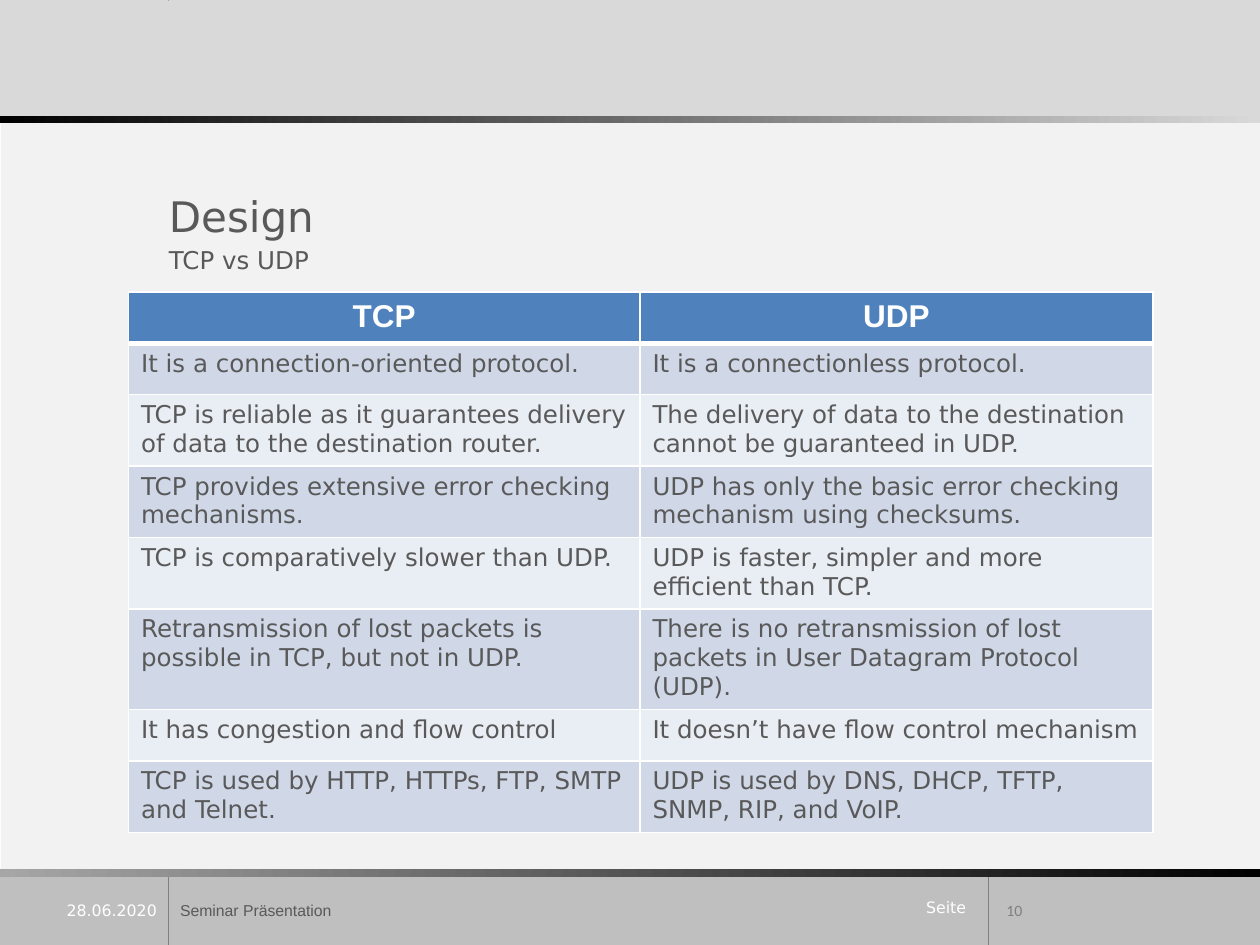
from lxml import etree
from pptx import Presentation
from pptx.dml.color import RGBColor
from pptx.enum import shapes, text
from pptx.oxml import ns
from pptx.util import Cm, Pt

THEME = {
    "white": "FFFFFF", "black": "000000", "ink": "595959", "number": "7F7F7F",
    "header": "D9D9D9", "body": "F2F2F2", "footer": "BFBFBF",
    "rule": "808080", "rule_mid": "A6A6A6",
    "table_head": "4F81BD", "bands": ("D0D8E8", "E9EDF4"),
    "font": "DejaVu Sans", "font_alt": "Arial", "font_number": "Calibri",
    "title": 24, "text": 14, "head": 18, "small": 9,
}

HEADING, SUBHEADING = "Design", "TCP vs UDP"
COMPARISON = [
    ("TCP", "UDP"),
    ("It is a connection-oriented protocol.", "It is a connectionless protocol."),
    ("TCP is reliable as it guarantees delivery of data to the destination router.",
     "The delivery of data to the destination cannot be guaranteed in UDP."),
    ("TCP provides extensive error checking mechanisms.",
     "UDP has only the basic error checking mechanism using checksums."),
    ("TCP is comparatively slower than UDP.",
     "UDP is faster, simpler and more efficient than TCP."),
    ("Retransmission of lost packets is possible in TCP, but not in UDP.",
     "There is no retransmission of lost packets in User Datagram Protocol (UDP)."),
    ("It has congestion and flow control", "It doesn’t have flow control mechanism"),
    ("TCP is used by HTTP, HTTPs, FTP, SMTP and Telnet.",
     "UDP is used by DNS, DHCP, TFTP, SNMP, RIP, and VoIP."),
]

# Lengths in cm
WIDTH, HEIGHT = 25.4, 19.05
HEADER_BOTTOM, FOOTER_TOP = 2.34, 17.6
BAR_HEIGHT = 0.16
LEFT_RULE, RIGHT_RULE = 3.4, 19.93

PANELS = [  # left, top, width, height, fill
    (0, 0, WIDTH, HEADER_BOTTOM, "header"),
    (0.02, HEADER_BOTTOM, WIDTH, FOOTER_TOP - HEADER_BOTTOM, "body"),
    (0, FOOTER_TOP, WIDTH, HEIGHT - FOOTER_TOP, "footer"),
]
BARS = [  # top, colour at left, colour at right
    (HEADER_BOTTOM - 0.01, "black", "header"),
    (FOOTER_TOP - 0.08, "rule_mid", "black"),
]
RULES = [  # x, top, bottom, colour
    (LEFT_RULE, 0, HEADER_BOTTOM, "rule_mid"),
    (LEFT_RULE, FOOTER_TOP, HEIGHT, "rule"),
    (RIGHT_RULE, FOOTER_TOP, HEIGHT, "rule"),
    (LEFT_RULE, 0.03, HEADER_BOTTOM, "header"),
]
MIDDLE, TOP = text.MSO_ANCHOR.MIDDLE, text.MSO_ANCHOR.TOP
LEFT, CENTER, RIGHT = text.PP_ALIGN.LEFT, text.PP_ALIGN.CENTER, text.PP_ALIGN.RIGHT
FOOTER_TEXTS = [  # text, box, anchor, format
    ("Seite", (18.42, 17.98, 1.45, 0.64), TOP, {"color": "white"}),
    ("Seminar Präsentation", (3.38, 17.83, 15.04, 1.02), MIDDLE, {"font": "font_alt"}),
    ("10", (20.04, 17.83, 4.09, 1.02), MIDDLE,
     {"font": "font_number", "color": "number"}),
    ("28.06.2020", (0.84, 17.86, 2.57, 0.99), MIDDLE,
     {"color": "white", "align": RIGHT}),
]
TITLE_BOX = (3.15, 3.71, 20.12, 12.5)
TABLE_LEFT, TABLE_TOP, ROW_HEIGHT = 2.59, 5.89, 1.03
COLUMNS = (10.31, 10.34)


def rgb(name):
    return RGBColor.from_string(THEME.get(name, name))


def write(paragraph, words, size="text", font="font", color="ink",
          bold=False, align=LEFT, before=0):
    paragraph.alignment = align
    paragraph.space_before = Pt(before)
    run = paragraph.add_run()
    run.text = words
    run.font.size = Pt(THEME[size])
    run.font.name = THEME[font]
    run.font.bold = bold
    run.font.color.rgb = rgb(color)


def add_panel(slide, left, top, width, height):
    panel = slide.shapes.add_shape(shapes.MSO_SHAPE.RECTANGLE,
                                   Cm(left), Cm(top), Cm(width), Cm(height))
    panel.shadow.inherit = False
    panel.line.fill.background()
    return panel


def add_bar(slide, top, start, end):
    fill = add_panel(slide, 0, top, WIDTH, BAR_HEIGHT).fill
    fill.gradient()
    fill.gradient_angle = 0
    for stop, position, color in zip(fill.gradient_stops, (0, 1), (start, end)):
        stop.position = position
        stop.color.rgb = rgb(color)


def add_rule(slide, x, top, bottom, color):
    rule = slide.shapes.add_connector(shapes.MSO_CONNECTOR.STRAIGHT,
                                      Cm(x), Cm(top), Cm(x), Cm(bottom))
    rule.line.color.rgb = rgb(color)
    rule.line.width = Pt(0.5)
    etree.SubElement(rule.element.spPr, ns.qn("a:effectLst"))


def border(cell, bottom):
    """Put white borders on a cell; they precede the fill in its XML."""
    properties = cell._tc.get_or_add_tcPr()
    for index, (side, points) in enumerate(
            (("L", 1), ("R", 1), ("T", 1), ("B", bottom))):
        line = etree.Element(ns.qn(f"a:ln{side}"), w=str(Pt(points)))
        solid = etree.SubElement(line, ns.qn("a:solidFill"))
        etree.SubElement(solid, ns.qn("a:srgbClr"), val=THEME["white"])
        properties.insert(index, line)


def add_comparison(slide):
    table = slide.shapes.add_table(
        len(COMPARISON), len(COLUMNS), Cm(TABLE_LEFT), Cm(TABLE_TOP),
        Cm(sum(COLUMNS)), Cm(ROW_HEIGHT * len(COMPARISON))).table
    for column, width in zip(table.columns, COLUMNS):
        column.width = Cm(width)
    for r, row in enumerate(COMPARISON):
        table.rows[r].height = Cm(ROW_HEIGHT)
        for c, words in enumerate(row):
            cell = table.cell(r, c)
            cell.fill.solid()
            paragraph = cell.text_frame.paragraphs[0]
            if r == 0:
                cell.fill.fore_color.rgb = rgb("table_head")
                write(paragraph, words, size="head", font="font_alt",
                      color="white", bold=True, align=CENTER)
            else:
                cell.fill.fore_color.rgb = rgb(THEME["bands"][(r - 1) % 2])
                write(paragraph, words)
            # The head's lower edge is shared with the first row below it
            border(cell, bottom=3 if r == 0 else 1)
            if r == 1:
                cell._tc.tcPr.find(ns.qn("a:lnT")).set("w", str(Pt(3)))


def add_title(slide):
    title = slide.shapes.title
    title.left, title.top, title.width, title.height = map(Cm, TITLE_BOX)
    frame = title.text_frame
    frame.vertical_anchor = TOP
    frame.auto_size = text.MSO_AUTO_SIZE.NONE
    write(frame.paragraphs[0], HEADING, size="title", before=2.5)
    write(frame.add_paragraph(), SUBHEADING, before=2.5)
    slide.shapes.element.append(title.element)  # in front of the panels


def add_footer_text(slide, words, box, anchor, style):
    frame = slide.shapes.add_textbox(*map(Cm, box)).text_frame
    frame.word_wrap = True
    frame.vertical_anchor = anchor
    write(frame.paragraphs[0], words, size="small", **style)


def main():
    deck = Presentation()
    deck.slide_width, deck.slide_height = Cm(WIDTH), Cm(HEIGHT)
    slide = deck.slides.add_slide(deck.slide_layouts[5])
    for *box, color in PANELS:
        fill = add_panel(slide, *box).fill
        fill.solid()
        fill.fore_color.rgb = rgb(color)
    for rule in RULES:
        add_rule(slide, *rule)
    for bar in BARS:
        add_bar(slide, *bar)
    add_title(slide)
    for footer_text in FOOTER_TEXTS:
        add_footer_text(slide, *footer_text)
    add_comparison(slide)
    deck.save("out.pptx")


if __name__ == "__main__":
    main()
